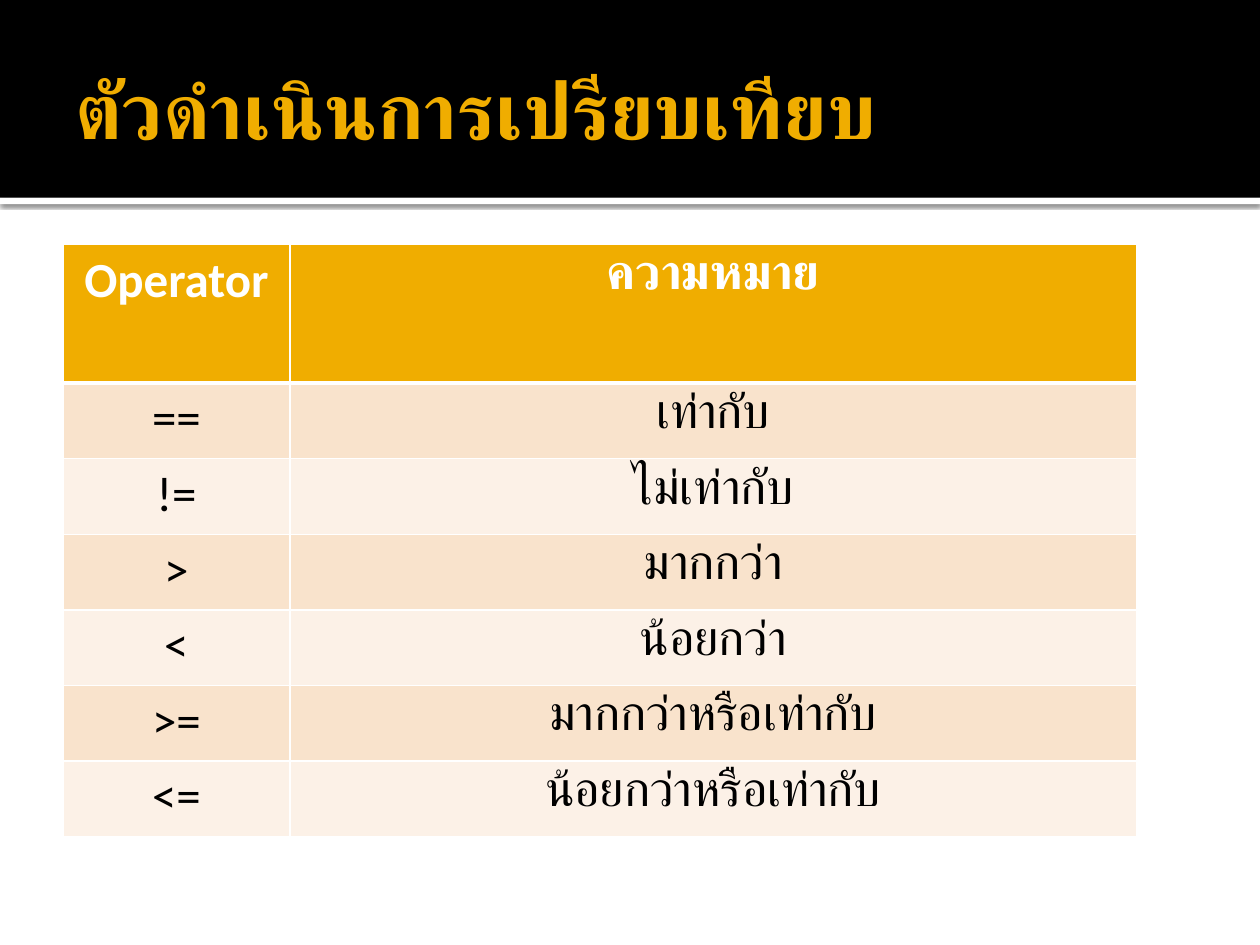
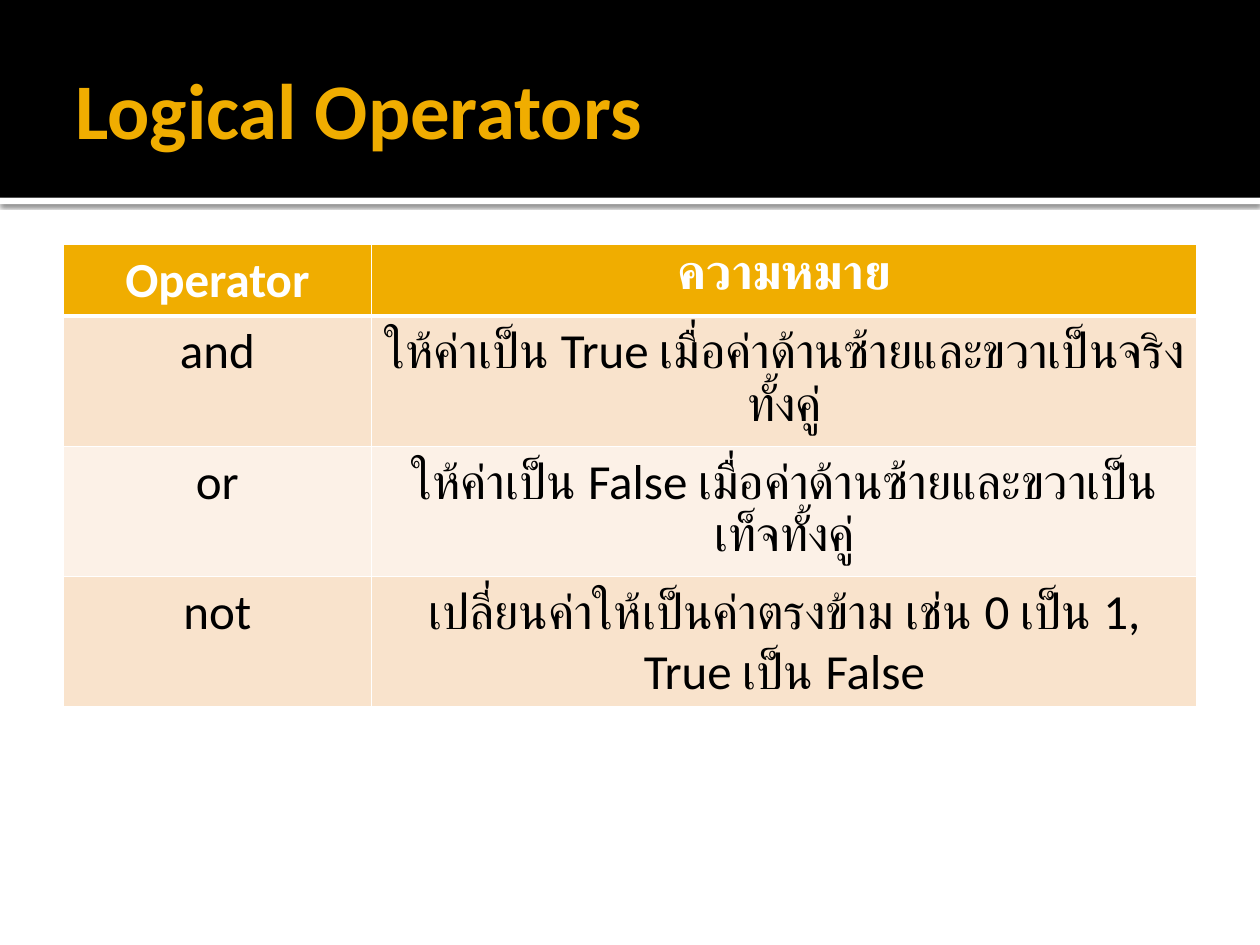
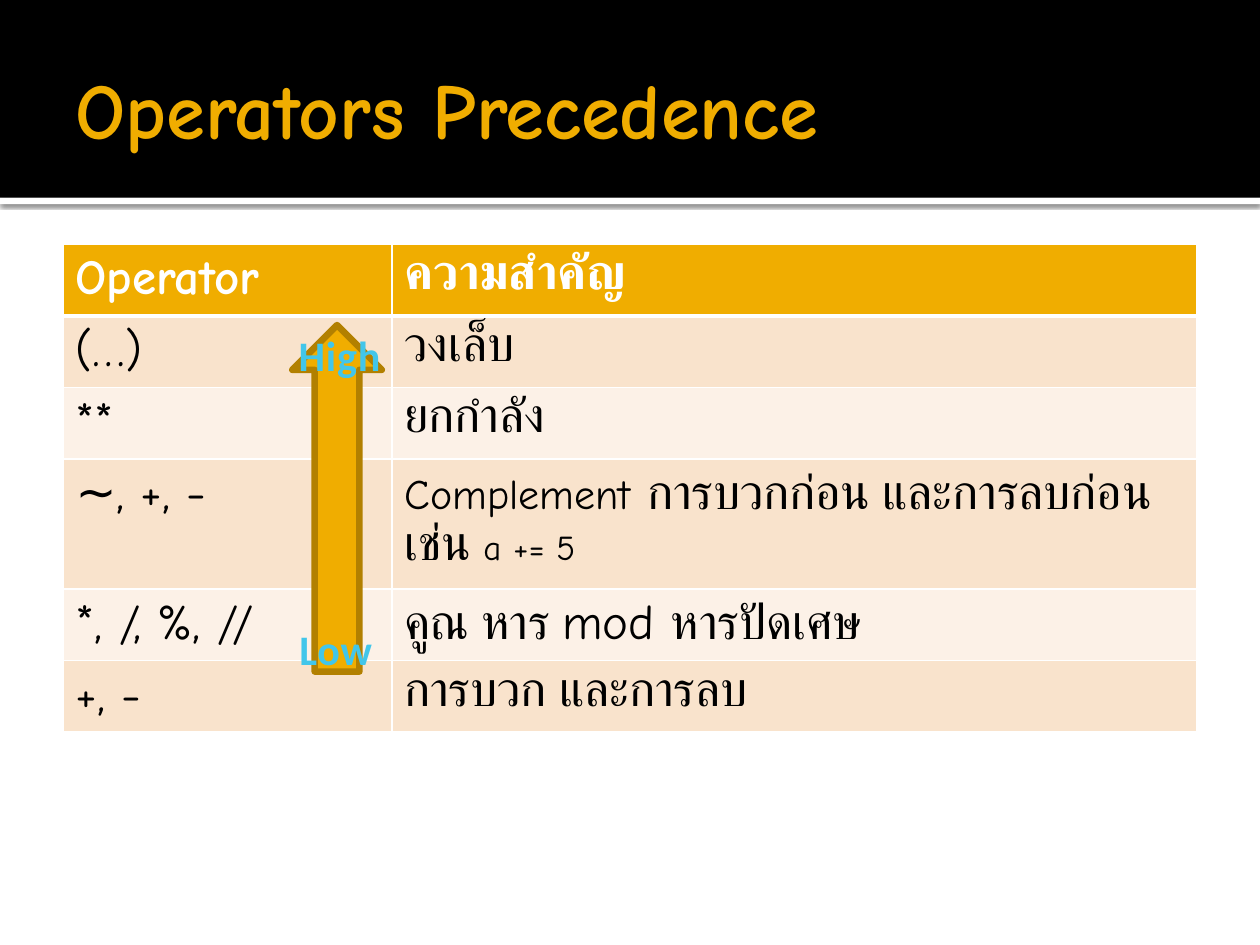
from lxml import etree
from pptx import Presentation
from pptx.dml.color import RGBColor
from pptx.enum import shapes, text
from pptx.oxml import ns
from pptx.util import Inches, Pt

GOLD, WHITE, BLACK = "F0AD00", "FFFFFF", "000000"
BODY_FILLS = ("F9E3CC", "FCF1E7")
TEXT_SIZE = 28
TABLE_LEFT, TABLE_TOP = 0.5, 1.94

SLIDES = [
    {
        "title": "ตัวดำเนินการเปรียบเทียบ",
        "font": "Calibri",
        "align": text.PP_ALIGN.CENTER,
        "columns": (1.8, 6.72),
        "heights": (1.1, 0.6),
        "rows": [
            ("Operator", "ความหมาย"),
            ("==", "เท่ากับ"),
            ("!=", "ไม่เท่ากับ"),
            (">", "มากกว่า"),
            ("<", "น้อยกว่า"),
            (">=", "มากกว่าหรือเท่ากับ"),
            ("<=", "น้อยกว่าหรือเท่ากับ"),
        ],
    },
    {
        "title": "Logical Operators",
        "font": "Calibri",
        "align": text.PP_ALIGN.CENTER,
        "columns": (2.45, 6.55),
        "heights": (0.41, 0.41),
        "rows": [
            ("Operator", "ความหมาย"),
            ("and", "ให้ค่าเป็น True เมื่อค่าด้านซ้ายและขวาเป็นจริงทั้งคู่"),
            ("or", "ให้ค่าเป็น False เมื่อค่าด้านซ้ายและขวาเป็นเท็จทั้งคู่"),
            ("not", "เปลี่ยนค่าให้เป็นค่าตรงข้าม เช่น 0 เป็น 1, True เป็น False"),
        ],
    },
    {
        "title": "Operators Precedence",
        "font": "Comic Neue",
        "align": text.PP_ALIGN.LEFT,
        "columns": (2.61, 6.39),
        "heights": (0.41, 0.41),
        "rows": [
            ("Operator", "ความสำคัญ"),
            ("(…)", "วงเล็บ"),
            ("**", "ยกกำลัง"),
            ("∼, +, -", [("Complement", 24),
                         (" การบวกก่อน และการลบก่อน เช่น ", 28),
                         ("a += 5", 20)]),
            ("*, /, %, //", "คูณ หาร mod หารปัดเศษ"),
            ("+, -", "การบวก และการลบ"),
        ],
    },
]
ARROW = (1.3, 3.6, 2.75, 0.71)
ARROW_LABELS = [("High", 2.09, 2.57), ("Low", 2.06, 4.9)]
LABEL_STOPS = [(0.25, "42C6EA"), (1, "2B8EA9")]


def rgb(value):
    return RGBColor.from_string(value)


def inches(*lengths):
    return [Inches(length) for length in lengths]


def style(span, font, size, color=None):
    span.font.name = font
    span.font.size = Pt(size)
    if color:
        span.font.color.rgb = rgb(color)


def add_block(page, kind, place, fill):
    block = page.shapes.add_shape(kind, *inches(*place))
    block.shadow.inherit = False
    block.fill.solid()
    block.fill.fore_color.rgb = rgb(fill)
    block.line.fill.background()
    return block


def add_shadow(block):
    effects = block._element.spPr.find(ns.qn("a:effectLst"))
    shadow = etree.SubElement(effects, ns.qn("a:outerShdw"), blurRad=str(Pt(2.5)),
                              dist=str(Pt(0.8)), dir="5400000", rotWithShape="0")
    color = etree.SubElement(shadow, ns.qn("a:srgbClr"), val=BLACK)
    etree.SubElement(color, ns.qn("a:alpha"), val="60000")


def add_title(page, title, font):
    strip = add_block(page, shapes.MSO_SHAPE.RECTANGLE, (0, 1.57, 10, 0.05), WHITE)
    add_shadow(strip)
    add_block(page, shapes.MSO_SHAPE.RECTANGLE, (0, 0, 10, 1.57), BLACK)
    box = page.shapes.add_textbox(*inches(0.5, 0.17, 9, 1.37))
    frame = box.text_frame
    frame.text = title
    frame.word_wrap = True
    frame.vertical_anchor = text.MSO_ANCHOR.MIDDLE
    frame.margin_left = Inches(0.1)
    frame.margin_right = Inches(0.05)
    span = frame.paragraphs[0].runs[0]
    style(span, font, 45, GOLD)
    span.font.bold = True


def set_borders(cell, row):
    widths = {"lnL": 1, "lnR": 1, "lnT": 3 if row == 1 else 1, "lnB": 3 if row == 0 else 1}
    properties = cell._tc.get_or_add_tcPr()
    for index, (edge, width) in enumerate(widths.items()):
        line = etree.Element(ns.qn("a:" + edge), w=str(Pt(width)))
        fill = etree.SubElement(line, ns.qn("a:solidFill"))
        etree.SubElement(fill, ns.qn("a:srgbClr"), val=WHITE)
        properties.insert(index, line)


def fill_cell(cell, content, row, font, align):
    cell.fill.solid()
    cell.fill.fore_color.rgb = rgb(BODY_FILLS[(row - 1) % 2] if row else GOLD)
    set_borders(cell, row)
    para = cell.text_frame.paragraphs[0]
    para.alignment = align
    pieces = [(content, TEXT_SIZE)] if isinstance(content, str) else content
    for words, size in pieces:
        span = para.add_run()
        span.text = words
        style(span, font, size, BLACK if row else WHITE)
        span.font.bold = row == 0


def add_operator_table(page, content):
    rows, columns = content["rows"], content["columns"]
    header, body = content["heights"]
    place = (TABLE_LEFT, TABLE_TOP, sum(columns), header + body * (len(rows) - 1))
    table = page.shapes.add_table(len(rows), len(columns), *inches(*place)).table
    for column, width in zip(table.columns, columns):
        column.width = Inches(width)
    for row, values in enumerate(rows):
        table.rows[row].height = Inches(body if row else header)
        for column, value in enumerate(values):
            fill_cell(table.cell(row, column), value, row, content["font"], content["align"])


def add_precedence_arrow(page):
    arrow = add_block(page, shapes.MSO_SHAPE.RIGHT_ARROW, ARROW, GOLD)
    arrow.rotation = 270
    arrow.line.color.rgb = rgb("B28000")
    arrow.line.width = Pt(3.78)
    for words, left, top in ARROW_LABELS:
        box = page.shapes.add_textbox(*inches(left, top, 1.21, 0.5))
        frame = box.text_frame
        frame.text = words
        frame.word_wrap = True
        frame.auto_size = text.MSO_AUTO_SIZE.SHAPE_TO_FIT_TEXT
        para = frame.paragraphs[0]
        para.alignment = text.PP_ALIGN.CENTER
        span = para.runs[0]
        style(span, "Calibri", 24)
        span.font.bold = True
        span.font.fill.gradient()
        span.font.fill.gradient_angle = 270
        for stop, (position, color) in zip(span.font.fill.gradient_stops, LABEL_STOPS):
            stop.position = position
            stop.color.rgb = rgb(color)
        span._r.get_or_add_rPr().set("spc", "50")


deck = Presentation()
deck.slide_width, deck.slide_height = inches(10, 7.5)
for content in SLIDES:
    page = deck.slides.add_slide(deck.slide_layouts[6])
    add_title(page, content["title"], content["font"])
    add_operator_table(page, content)
add_precedence_arrow(page)
deck.save("out.pptx")
